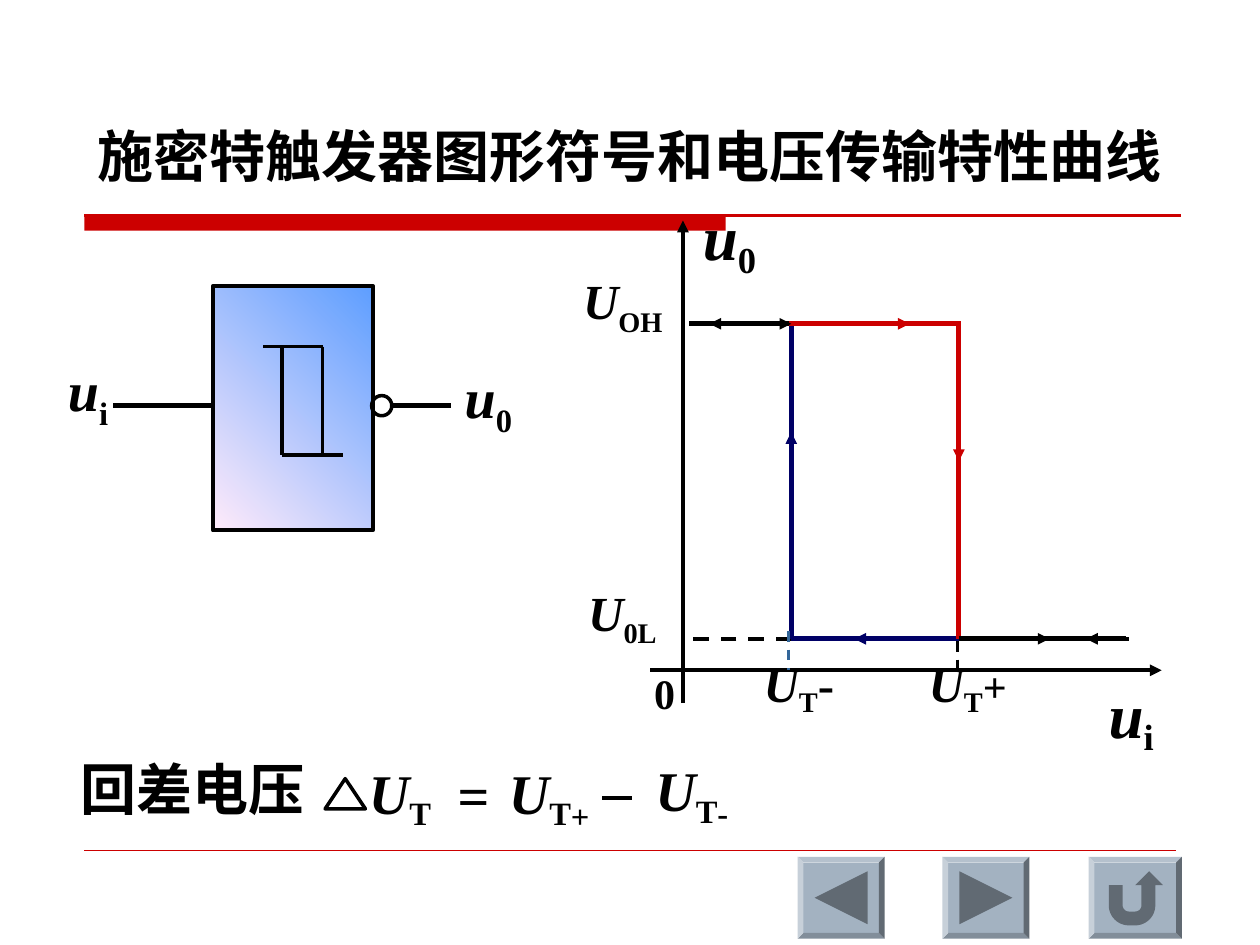
from math import cos, pi, sin

from lxml import etree
from pptx import Presentation
from pptx.dml.color import RGBColor
from pptx.enum.dml import MSO_LINE
from pptx.enum.shapes import MSO_CONNECTOR, MSO_SHAPE
from pptx.enum.text import MSO_ANCHOR, MSO_AUTO_SIZE, PP_ALIGN
from pptx.oxml.ns import qn
from pptx.util import Inches, Pt

DASH = MSO_LINE.DASH
STRAIGHT = MSO_CONNECTOR.STRAIGHT
LEFT, CENTER = PP_ALIGN.LEFT, PP_ALIGN.CENTER
BLACK = RGBColor(0x00, 0x00, 0x00)
RED = RGBColor(0xCC, 0x00, 0x00)
NAVY = RGBColor(0x00, 0x00, 0x66)
STEEL = RGBColor(0x33, 0x66, 0x99)
PINK = RGBColor(0xFF, 0xEB, 0xFA)
SKY = RGBColor(0x5E, 0x9E, 0xFF)
BUTTON = RGBColor(0xA3, 0xB2, 0xC1)
ICON = RGBColor(0x61, 0x6A, 0x73)
SERIF, SANS = "Times New Roman", "Noto Sans CJK SC"

TITLE = "施密特触发器图形符号和电压传输特性曲线"

# Levels of the transfer curve, and the axes
X_AXIS, Y_AXIS = 5.32, 5.42
LOW_X, HIGH_X = 6.28, 7.61
HIGH_Y, LOW_Y = 2.57, 5.07
SIGNAL_Y = 3.22

# x1, y1, x2, y2, colour, width, "arrow" or "dash"
RULES = [
    (0.67, 1.71, 9.37, 1.71, RED, 1.25, ""),
    (0.67, 6.75, 9.33, 6.75, RED, 0.25, ""),
]
SYMBOL_LINES = [
    (0.9, SIGNAL_Y, 1.69, SIGNAL_Y, BLACK, 3, ""),
    (3.11, SIGNAL_Y, 3.58, SIGNAL_Y, BLACK, 3, ""),
    (2.09, 2.75, 2.56, 2.75, BLACK, 2, ""),
    (2.56, 2.75, 2.56, 3.61, BLACK, 2, ""),
    (2.24, 2.75, 2.24, 3.61, BLACK, 2, ""),
    (2.24, 3.61, 2.72, 3.61, BLACK, 2, ""),
]
CURVE_LINES = [
    (Y_AXIS, 5.58, Y_AXIS, 1.75, BLACK, 2.25, "arrow"),
    (5.16, X_AXIS, 9.22, X_AXIS, BLACK, 2.25, "arrow"),
    # lower level
    (LOW_X, LOW_Y, 8.91, LOW_Y, NAVY, 3, ""),
    (8.96, LOW_Y, 8.62, LOW_Y, BLACK, 2.25, "arrow"),
    (7.11, LOW_Y, 6.78, LOW_Y, NAVY, 2.25, "arrow"),
    (LOW_X, LOW_Y, 5.44, LOW_Y, BLACK, 2.25, "dash"),
    # rising and falling edges
    (LOW_X, HIGH_Y, LOW_X, LOW_Y, NAVY, 3, ""),
    (6.26, 5.01, 6.26, X_AXIS, STEEL, 1.5, "dash"),
    (HIGH_X, HIGH_Y, HIGH_X, LOW_Y, RED, 3, ""),
    (HIGH_X, 3.32, HIGH_X, 3.66, RED, 2.25, "arrow"),
    (7.6, 5.09, 7.6, X_AXIS, BLACK, 1.5, "dash"),
    (HIGH_X, LOW_Y, 8.94, LOW_Y, BLACK, 3, ""),
    (7.99, LOW_Y, 8.33, LOW_Y, BLACK, 2.25, "arrow"),
    (LOW_X, 3.77, LOW_X, 3.43, NAVY, 2.25, "arrow"),
    # upper level
    (5.47, HIGH_Y, 7.63, HIGH_Y, RED, 3, ""),
    (5.47, HIGH_Y, 6.26, HIGH_Y, BLACK, 3, ""),
    (5.96, HIGH_Y, 5.63, HIGH_Y, BLACK, 2.25, "arrow"),
    (6.89, HIGH_Y, 7.22, HIGH_Y, RED, 2.25, "arrow"),
    (5.94, HIGH_Y, LOW_X, HIGH_Y, BLACK, 2.25, "arrow"),
]
MINUS_LINE = (4.78, 6.33, 5.02, 6.33, BLACK, 2.25, "")

# left, top, width, height, wrap, alignment, size, runs (text, italic, baseline %, size)
LABELS = [
    (3.59, 2.83, 0.7, 0.71, True, LEFT, 32, [("u", True), ("0", False, -25)]),
    (0.44, 2.77, 0.52, 0.71, False, LEFT, 32, [("u", True), ("i", False, -25)]),
    (4.53, 2.1, 1.4, 0.63, True, LEFT, 28, [("U", True), ("OH", False, -25)]),
    (4.57, 4.57, 1, 0.63, True, LEFT, 28, [("U", True), ("0L", False, -25)]),
    (5.09, 5.25, 0.37, 0.5, True, CENTER, 24, [("0", False)]),
    (5.96, 5.14, 0.76, 0.61, False, CENTER, 28,
     [("U", True), ("T", False, -20), ("-", False)]),
    (7.27, 5.14, 0.82, 0.61, False, CENTER, 28,
     [("U", True), ("T", False, -20), ("+", False, 0, 24)]),
    (8.7, 5.31, 0.75, 0.76, True, LEFT, 36, [("u", True), ("i", False, -20)]),
    (5.48, 1.52, 0.62, 0.76, False, LEFT, 36, [("u", True), ("0", False, -20)]),
    # hysteresis formula
    (0.54, 5.94, 1.98, 0.64, False, LEFT, 32, [("回差电压", False)]),
    (2.83, 5.97, 0.69, 0.69, False, LEFT, 32, [("U", True), ("T", False, -20)]),
    (3.53, 5.99, 0.45, 0.64, False, LEFT, 32, [("=", True)]),
    (3.94, 5.97, 0.84, 0.71, False, LEFT, 32,
     [("U", True), ("T", False, -20), ("+", False, -25)]),
    (5.1, 5.95, 0.78, 0.71, False, CENTER, 32,
     [("U", True), ("T", False, -20), ("-", False, -25)]),
]


def arc(x, y, radius, start, end, steps=12):
    angles = [start + (end - start) * step / steps for step in range(steps + 1)]
    return [(x + radius * cos(angle), y + radius * sin(angle)) for angle in angles]


# Button icons, as outlines around the button centre
BACK = [(-0.21, 0), (0.21, -0.21), (0.21, 0.21)]
FORWARD = [(-x, y) for x, y in BACK]
RETURN = ([(-0.21, -0.1), (-0.1, -0.1)]
          + arc(-0.05, 0.06, 0.05, pi, pi / 2) + arc(0, 0.06, 0.05, pi / 2, 0)
          + [(0.05, -0.1), (0, -0.1), (0.11, -0.21), (0.22, -0.1), (0.16, -0.1)]
          + arc(0, 0.06, 0.16, 0, pi / 2) + arc(-0.05, 0.06, 0.16, pi / 2, pi))
BUTTONS = [(6.33, 0.69, BACK), (7.48, 0.69, FORWARD), (8.64, 0.74, RETURN)]


def set_format(target, values):
    for name, value in values.items():
        setattr(target, name, value)


def add_line(shapes, x1, y1, x2, y2, color, width, style):
    line = shapes.add_connector(STRAIGHT, *map(Inches, (x1, y1, x2, y2)))
    line.line.color.rgb = color
    line.line.width = Pt(width)
    if style == "dash":
        line.line.dash_style = DASH
    properties = line._element.spPr
    if style == "arrow":
        etree.SubElement(properties.find(qn("a:ln")), qn("a:tailEnd"), type="triangle")
    etree.SubElement(properties, qn("a:effectLst"))


def style_shape(shape, fill=None, line_width=0):
    shape.shadow.inherit = False
    if fill is None:
        shape.fill.background()
    else:
        shape.fill.solid()
        shape.fill.fore_color.rgb = fill
    if line_width:
        shape.line.color.rgb = BLACK
        shape.line.width = Pt(line_width)
    else:
        shape.line.fill.background()
    return shape


def add_shape(shapes, kind, box, fill=None, line_width=0):
    return style_shape(shapes.add_shape(kind, *map(Inches, box)), fill, line_width)


def add_run(paragraph, default_size, text, italic, baseline=0, size=None):
    run = paragraph.add_run()
    run.text = text
    set_format(run.font, {"name": SERIF, "size": Pt(size or default_size),
                          "bold": True, "italic": italic})
    run.font.color.rgb = BLACK
    if baseline:
        run.font._element.set("baseline", str(baseline * 1000))


def add_label(shapes, left, top, width, height, wrap, alignment, size, runs):
    frame = shapes.add_textbox(*map(Inches, (left, top, width, height))).text_frame
    set_format(frame, {"word_wrap": wrap, "auto_size": MSO_AUTO_SIZE.SHAPE_TO_FIT_TEXT})
    paragraph = frame.paragraphs[0]
    paragraph.alignment = alignment
    for run in runs:
        add_run(paragraph, size, *run)


def add_button(shapes, left, width, outline):
    top, height = 6.8, 0.65
    bevel = add_shape(shapes, MSO_SHAPE.BEVEL, (left, top, width, height), BUTTON)
    bevel.adjustments[0] = 0.07
    points = [(Inches(left + width / 2 + x), Inches(top + height / 2 + y))
              for x, y in outline]
    builder = shapes.build_freeform(*points[0])
    builder.add_line_segments(points[1:], close=True)
    style_shape(builder.convert_to_shape(), ICON)


def main():
    presentation = Presentation()
    presentation.slide_width, presentation.slide_height = Inches(10), Inches(7.5)
    slide = presentation.slides.add_slide(presentation.slide_layouts[5])
    shapes = slide.shapes

    # Title
    title = shapes.title
    set_format(title, {"left": Inches(0.67), "top": Inches(0.88),
                       "width": Inches(8.66), "height": Inches(0.71)})
    set_format(title.text_frame, {"text": TITLE, "vertical_anchor": MSO_ANCHOR.MIDDLE,
                                  "auto_size": MSO_AUTO_SIZE.NONE})
    paragraph = title.text_frame.paragraphs[0]
    paragraph.alignment = LEFT
    font = paragraph.runs[0].font
    set_format(font, {"name": SANS, "size": Pt(32), "bold": True})
    font.color.rgb = BLACK
    etree.SubElement(font._element, qn("a:ea"), typeface=SANS)

    # Red bar and navigation buttons
    add_shape(shapes, MSO_SHAPE.RECTANGLE, (0.67, 1.71, 5.09, 0.12), RED)
    for button in BUTTONS:
        add_button(shapes, *button)

    # Trigger symbol
    body = add_shape(shapes, MSO_SHAPE.RECTANGLE, (1.69, 2.27, 1.27, 1.94), SKY, 2.25)
    body.fill.gradient()
    body.fill.gradient_angle = 45
    for stop, color in zip(body.fill.gradient_stops, (PINK, SKY)):
        stop.color.rgb = color
    add_shape(shapes, MSO_SHAPE.OVAL, (2.95, 3.14, 0.16, 0.16), None, 2)

    # Delta sign, lines and labels
    add_shape(shapes, MSO_SHAPE.FLOWCHART_EXTRACT, (2.58, 6.18, 0.32, 0.24), None, 2)
    for line in RULES + SYMBOL_LINES + CURVE_LINES + [MINUS_LINE]:
        add_line(shapes, *line)
    for label in LABELS:
        add_label(shapes, *label)

    presentation.save("out.pptx")


if __name__ == "__main__":
    main()
